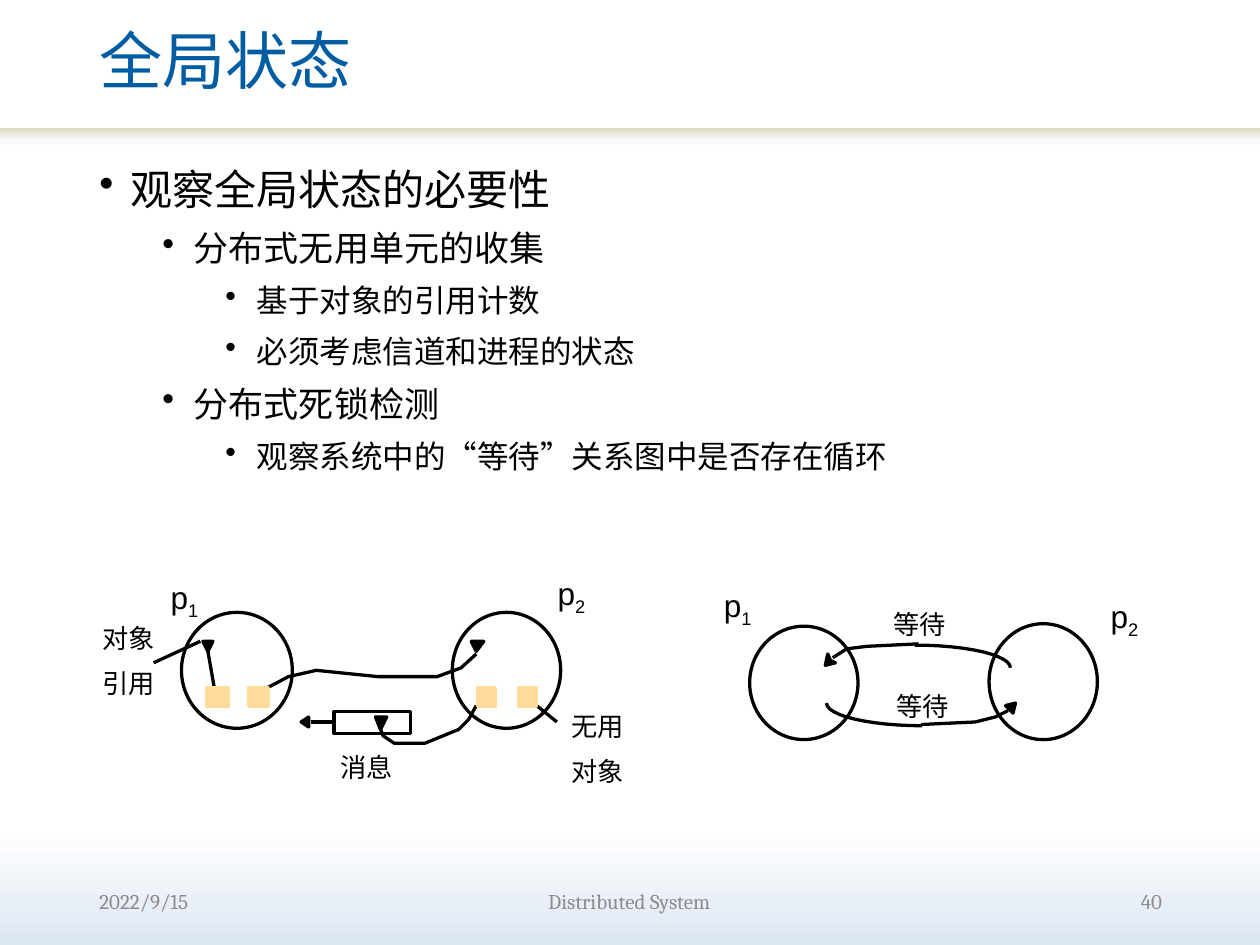
import copy
import math

import pptx
import pptx.dml.color
import pptx.enum.shapes
import pptx.enum.text
import pptx.oxml
import pptx.oxml.ns
import pptx.util

Inches, Pt = pptx.util.Inches, pptx.util.Pt
SHAPE = pptx.enum.shapes.MSO_SHAPE
ALIGN = pptx.enum.text.PP_ALIGN
ANCHOR = pptx.enum.text.MSO_ANCHOR
qn = pptx.oxml.ns.qn


def rgb(value):
    return pptx.dml.color.RGBColor.from_string(value)


def quarter_arc(cx, cy, rx, ry, start):
    """Points of a quarter ellipse, clockwise from the start angle in degrees."""
    angles = [math.radians(start + 7.5 * i) for i in range(13)]
    return [(cx + rx * math.cos(a), cy + ry * math.sin(a)) for a in angles]


class Deck:
    ink, title_blue, grey, sand = "000000", "005DA3", "8C8C8C", "FFDC99"
    heading, label_font = "Cambria", "Arial"
    stroke = 1.88

    def __init__(self):
        self.prs = pptx.Presentation()
        self.prs.slide_width, self.prs.slide_height = Inches(10), Inches(7.5)
        self.s = self.prs.slides.add_slide(self.prs.slide_layouts[6])

    def gradient(self, fill, root, stops, angle):
        fill.gradient()
        fill.gradient_angle = angle
        stop_list = next(root.iter(qn("a:gsLst")))
        while len(stop_list) < len(stops):
            stop_list.append(copy.deepcopy(stop_list[-1]))
        for stop, (position, color) in zip(fill.gradient_stops, stops):
            stop.position = position
            stop.color.rgb = rgb(color)

    def paint(self, sp, fill=None, line=None):
        sp.shadow.inherit = False
        if fill:
            sp.fill.solid()
            sp.fill.fore_color.rgb = rgb(fill)
        else:
            sp.fill.background()
        if line:
            sp.line.color.rgb = rgb(line)
            sp.line.width = Pt(self.stroke)
        else:
            sp.line.fill.background()

    def shape(self, kind, box, fill=None, line=None):
        sp = self.s.shapes.add_shape(kind, *map(Inches, box))
        self.paint(sp, fill, line)
        return sp

    def path_line(self, points, closed=False):
        """Open polyline, or a solid closed polygon."""
        emu = [(Inches(x), Inches(y)) for x, y in points]
        builder = self.s.shapes.build_freeform(*emu[0])
        builder.add_line_segments(emu[1:], close=closed)
        self.paint(builder.convert_to_shape(), self.ink if closed else None, self.ink)

    def line(self, x1, y1, x2, y2):
        cxn = self.s.shapes.add_connector(
            pptx.enum.shapes.MSO_CONNECTOR.STRAIGHT, *map(Inches, (x1, y1, x2, y2)))
        cxn.line.color.rgb = rgb(self.ink)
        cxn.line.width = Pt(self.stroke)
        cxn.element.spPr.append(pptx.oxml.parse_xml(
            '<a:effectLst xmlns:a="http://schemas.openxmlformats.org/drawingml/2006/main"/>'))

    def style(self, p, size, font, color):
        for r in p.runs:
            r.font.size, r.font.name = Pt(size), font
            r.font.color.rgb = rgb(color)

    def text(self, box, text, size, color, align=ALIGN.LEFT, spacing=None):
        sp = self.s.shapes.add_textbox(*map(Inches, box))
        tf = sp.text_frame
        tf.word_wrap, tf.vertical_anchor = True, ANCHOR.MIDDLE
        p = tf.paragraphs[0]
        p.text, p.alignment = text, align
        if spacing:
            p.line_spacing = spacing
        self.style(p, size, self.heading, color)

    def bullets(self, box, items):
        """Items are (level, text) pairs."""
        tf = self.s.shapes.add_textbox(*map(Inches, box)).text_frame
        tf.word_wrap = True
        for i, (level, text) in enumerate(items):
            p = tf.add_paragraph() if i else tf.paragraphs[0]
            p.text, p.level, p.line_spacing = text, level, 1.1
            if i:
                p.space_before = Pt(5)
            pPr = p._p.get_or_add_pPr()
            pPr.set("marL", str(Inches(0.25 + 0.5 * level)))
            pPr.set("indent", str(Inches(-0.25)))
            pPr.append(pptx.oxml.parse_xml(
                '<a:buChar xmlns:a="http://schemas.openxmlformats.org/drawingml/2006/main" char="•"/>'))
            self.style(p, (24, 20, 18)[level], self.heading, self.ink)

    def label(self, box, text, size=15, wrap=False):
        tf = self.s.shapes.add_textbox(*map(Inches, box)).text_frame
        tf.margin_left = tf.margin_right = tf.margin_top = tf.margin_bottom = 0
        tf.word_wrap = wrap
        tf.text = text
        for i, p in enumerate(tf.paragraphs):
            p.alignment = ALIGN.CENTER
            if i:
                p.space_before = Pt(size / 2)
            self.style(p, size, self.label_font, self.ink)
        return tf

    def process_label(self, x, y, number):
        p = self.label((x, y, 0.47, 0.3), "p", 18, True).paragraphs[0]
        r = p.add_run()
        r.text = number
        self.style(p, 18, self.label_font, self.ink)
        r.font._element.set("baseline", "-25000")

    def object_square(self, x, width):
        self.shape(SHAPE.RECTANGLE, (x, 5.45, width, 0.15), fill=self.sand)
        self.shape(SHAPE.RECTANGLE, (x + 0.01, 5.46, width, 0.15), line=self.sand)


def draw_garbage_collection(d):
    for x, width in ((1.44, 0.88), (3.59, 0.86)):
        d.shape(SHAPE.OVAL, (x, 4.86, width, 0.92), line=d.ink)
    d.shape(SHAPE.RECTANGLE, (2.65, 5.65, 0.61, 0.17), line=d.ink)
    for left, tip, right, top, bottom in (
            (1.61, 1.65, 1.69, 5.09, 5.17),
            (3.74, 3.78, 3.84, 5.09, 5.17),
            (2.98, 3.02, 3.07, 5.69, 5.79)):
        d.path_line([(left, top), (tip, bottom), (right, top)], closed=True)
    d.path_line([(3.78, 5.19), (3.66, 5.3), (3.47, 5.37), (3, 5.37),
                 (2.51, 5.32), (2.29, 5.37), (2.1, 5.47)])
    d.path_line([(3, 5.73), (3.04, 5.84), (3.13, 5.9), (3.37, 5.9),
                 (3.64, 5.79), (3.72, 5.71), (3.78, 5.6)])
    d.path_line([(2.45, 5.77), (2.39, 5.73), (2.45, 5.69)], closed=True)
    for ends in ((1.65, 5.17, 1.71, 5.51), (2.47, 5.73, 2.64, 5.73),
                 (4.42, 5.73, 4.21, 5.56), (1.59, 5.09, 1.22, 5.26)):
        d.line(*ends)
    for x, width in ((1.63, 0.17), (1.96, 0.16), (3.78, 0.14), (4.11, 0.14)):
        d.object_square(x, width)
    d.label((2.7, 5.96, 0.42, 0.25), "消息")
    d.label((4.53, 5.64, 0.42, 0.62), "无用\n对象")
    d.label((0.81, 4.94, 0.42, 0.62), "对象\n引用")
    d.process_label(1.23, 4.59, "1")
    d.process_label(4.3, 4.56, "2")


def draw_deadlock(d):
    d.shape(SHAPE.OVAL, (5.95, 4.97, 0.86, 0.9), line=d.ink)
    d.shape(SHAPE.OVAL, (7.85, 4.95, 0.86, 0.92), line=d.ink)
    d.path_line([(8, 5.62), (7.98, 5.6), (8.06, 5.58), (8.04, 5.66)], closed=True)
    d.path_line([(8, 5.64), (7.9, 5.69), (7.74, 5.73), (7.31, 5.75)])
    d.path_line([(6.59, 5.24), (6.63, 5.26), (6.55, 5.28), (6.57, 5.19)], closed=True)
    d.path_line([(6.61, 5.22), (6.72, 5.15), (6.88, 5.13), (7.29, 5.11)])
    d.path_line(quarter_arc(7.32, 5.58, 0.76, 0.18, 90))
    d.path_line(quarter_arc(7.26, 5.3, 0.76, 0.18, 270))
    for x, y in ((7.09, 4.83), (7.11, 5.48)):
        d.label((x, y, 0.42, 0.25), "等待")
    d.process_label(5.62, 4.65, "1")
    d.process_label(8.69, 4.74, "2")


def main():
    d = Deck()
    d.gradient(d.s.background.fill, d.s.element,
               [(0, "FFFFFF"), (0.88, "FFFFFF"), (1, "DCE6F2")], 270)
    band = d.shape(SHAPE.RECTANGLE, (0, 1.02, 10, 0.17))
    d.gradient(band.fill, band.element,
               [(0, "FFFFFF"), (0.45, "FBFBFB"), (1, "DDD9C3")], 90)
    d.text((0.69, 0, 8.3, 1.02), "全局状态", 36, d.title_blue, spacing=0.9)
    d.bullets((0.69, 1.21, 8.62, 5.55), [
        (0, "观察全局状态的必要性"),
        (1, "分布式无用单元的收集"),
        (2, "基于对象的引用计数"),
        (2, "必须考虑信道和进程的状态"),
        (1, "分布式死锁检测"),
        (2, "观察系统中的“等待”关系图中是否存在循环"),
    ])
    draw_garbage_collection(d)
    draw_deadlock(d)
    for x, width, text, align in (
            (0.69, 2.08, "2022/9/15", ALIGN.LEFT),
            (2.76, 4.47, "Distributed System", ALIGN.CENTER),
            (7.24, 2.08, "40", ALIGN.RIGHT)):
        d.text((x, 6.95, width, 0.4), text, 12, d.grey, align)
    d.prs.save("out.pptx")


if __name__ == "__main__":
    main()
